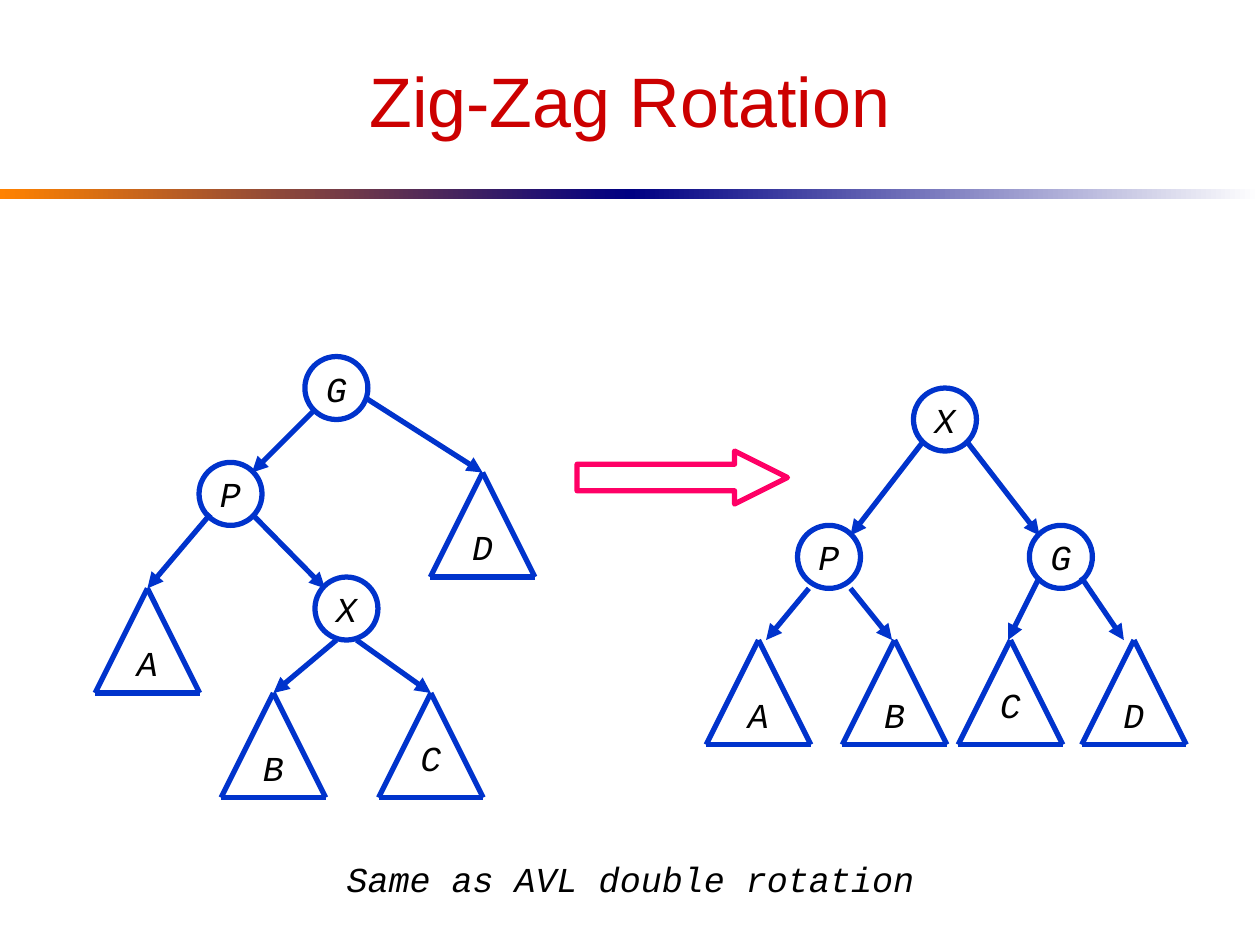
from lxml import etree
from pptx import Presentation
from pptx.dml.color import RGBColor
from pptx.enum import shapes, text
from pptx.oxml.ns import qn
from pptx.util import Inches, Pt

BLACK = RGBColor(0x00, 0x00, 0x00)
WHITE = RGBColor(0xFF, 0xFF, 0xFF)
RED = RGBColor(0xCC, 0x00, 0x00)
BLUE = RGBColor(0x00, 0x33, 0xCC)
PINK = RGBColor(0xFF, 0x00, 0x66)
ORANGE = RGBColor(0xFF, 0x82, 0x00)
NAVY = RGBColor(0x00, 0x00, 0x82)

TITLE_FONT = {"name": "Arial", "size": Pt(40)}
LABEL_FONT = {"name": "Courier New", "size": Pt(20), "italic": True}
NODE_SIZE = 0.5
TREE_SIZE = 0.83  # width and height of a subtree triangle
LABEL_WIDTH, LABEL_HEIGHT = 0.36, 0.44

# Nodes: letter, left, top
nodes = [
    ("G", 2.42, 2.83), ("P", 1.58, 3.67), ("X", 2.5, 4.58),
    ("G", 8.17, 4.17), ("P", 6.33, 4.17), ("X", 7.25, 3.08),
]
# Subtrees: letter, apex x, apex y, drop from apex to label
subtrees = [
    ("A", 1.17, 4.67, 0.37), ("B", 2.17, 5.5, 0.37),
    ("C", 3.42, 5.5, 0.29), ("D", 3.83, 3.75, 0.37),
    ("A", 6.02, 5.08, 0.37), ("B", 7.1, 5.08, 0.37),
    ("C", 8.02, 5.08, 0.29), ("D", 9, 5.08, 0.37),
]
# Arrows from parent to child: start, end
edges = [
    ((2.5, 3.25), (2, 3.75)), ((2.92, 3.17), (3.83, 3.75)),
    ((1.67, 4.08), (1.17, 4.67)), ((2, 4.08), (2.58, 4.67)),
    ((2.67, 5.08), (2.17, 5.5)), ((2.83, 5.08), (3.42, 5.5)),
    ((7.33, 3.5), (6.75, 4.25)), ((7.67, 3.5), (8.25, 4.25)),
    ((6.42, 4.67), (6.08, 5.08)), ((6.75, 4.67), (7.08, 5.08)),
    ((8.25, 4.58), (8, 5.08)), ((8.58, 4.58), (8.92, 5.08)),
]


def write(box, words, font=LABEL_FONT, color=BLACK, wrap=False):
    """Put one centred line of formatted text in a shape."""
    frame = box.text_frame
    frame.word_wrap = wrap
    frame.auto_size = text.MSO_AUTO_SIZE.NONE
    frame.vertical_anchor = text.MSO_ANCHOR.MIDDLE
    para = frame.paragraphs[0]
    para.alignment = text.PP_ALIGN.CENTER
    span = para.add_run()
    span.text = words
    for name, value in font.items():
        setattr(span.font, name, value)
    span.font.color.rgb = color


def draw_line(start, end, arrow=False):
    line = page.shapes.add_connector(
        shapes.MSO_CONNECTOR.STRAIGHT, *map(Inches, start + end))
    line.line.color.rgb = BLUE
    line.line.width = Pt(3)
    if arrow:
        etree.SubElement(line.line._get_or_add_ln(), qn("a:tailEnd"), type="triangle")
    etree.SubElement(line._element.spPr, qn("a:effectLst"))


deck = Presentation()
deck.slide_width, deck.slide_height = Inches(10), Inches(7.5)
page = deck.slides.add_slide(deck.slide_layouts[5])

# Title and the gradient rule below it
title = page.shapes.title
title.left, title.top, title.width, title.height = map(Inches, (0.5, 0.25, 9, 1.08))
write(title, "Zig-Zag Rotation", TITLE_FONT, RED, wrap=True)

for left, colors in ((0, (ORANGE, NAVY)), (5, (NAVY, WHITE))):
    band = page.shapes.add_shape(
        shapes.MSO_SHAPE.RECTANGLE, *map(Inches, (left, 1.5, 5, 0.08)))
    band.shadow.inherit = False
    band.line.fill.background()
    band.fill.gradient()
    band.fill.gradient_angle = 0
    for stop, color in zip(band.fill.gradient_stops, colors):
        stop.color.rgb = color

# Tree before the rotation on the left, after it on the right
for letter, left, top in nodes:
    node = page.shapes.add_shape(
        shapes.MSO_SHAPE.OVAL, *map(Inches, (left, top, NODE_SIZE, NODE_SIZE)))
    node.shadow.inherit = False
    node.fill.solid()
    node.fill.fore_color.rgb = WHITE
    node.line.color.rgb = BLUE
    node.line.width = Pt(3)
    write(node, letter)

for letter, x, y, drop in subtrees:
    apex = (x, y)
    left_foot = (x - TREE_SIZE / 2, y + TREE_SIZE)
    right_foot = (x + TREE_SIZE / 2, y + TREE_SIZE)
    for start, end in ((apex, left_foot), (left_foot, right_foot), (right_foot, apex)):
        draw_line(start, end)
    label = page.shapes.add_textbox(
        *map(Inches, (x - LABEL_WIDTH / 2, y + drop, LABEL_WIDTH, LABEL_HEIGHT)))
    write(label, letter)

for start, end in edges:
    draw_line(start, end, arrow=True)

# Rotation arrow and caption
rotation = page.shapes.add_shape(
    shapes.MSO_SHAPE.RIGHT_ARROW, *map(Inches, (4.58, 3.58, 1.67, 0.42)))
rotation.adjustments[0], rotation.adjustments[1] = 0.5, 1
rotation.shadow.inherit = False
rotation.fill.solid()
rotation.fill.fore_color.rgb = WHITE
rotation.line.color.rgb = PINK
rotation.line.width = Pt(3)

caption = page.shapes.add_textbox(*map(Inches, (2.65, 6.75, 4.71, LABEL_HEIGHT)))
write(caption, "Same as AVL double rotation")

deck.save("out.pptx")
